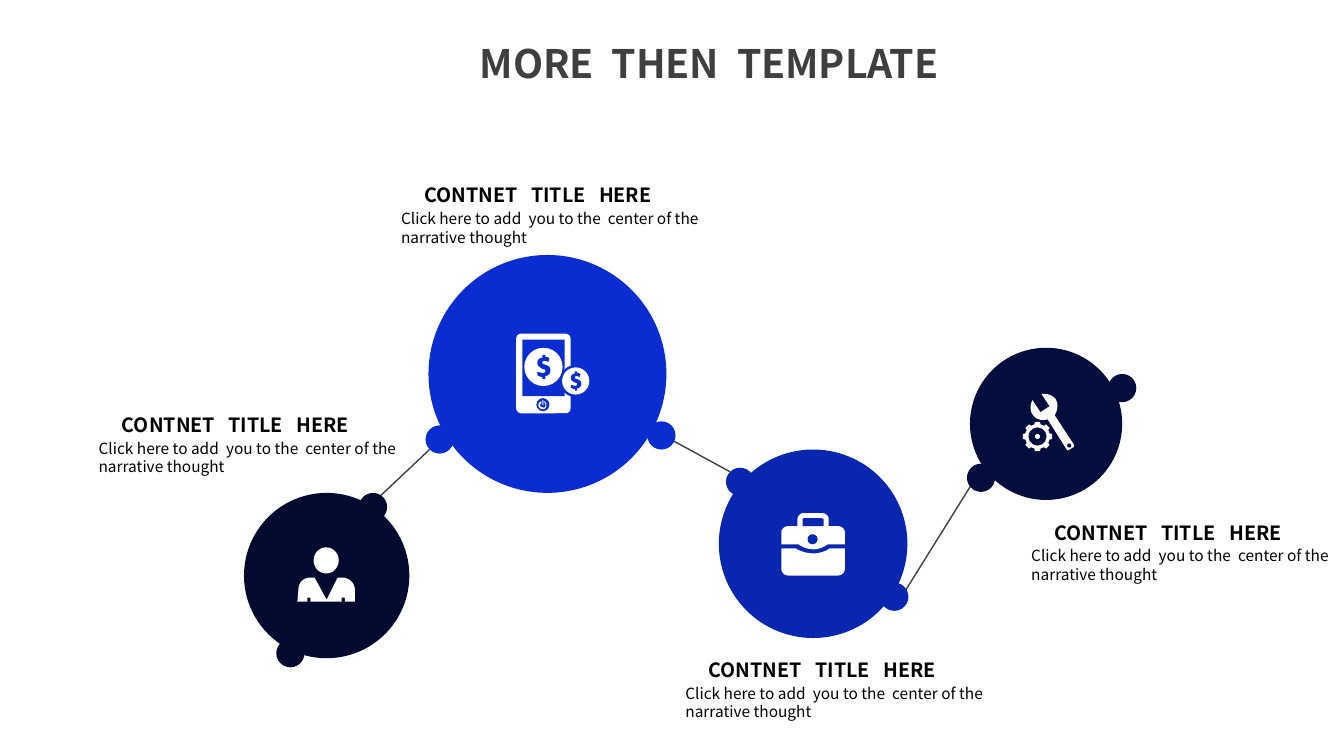
from math import cos, pi, sin

from lxml.etree import SubElement
from pptx import Presentation
from pptx.dml.color import RGBColor
from pptx.enum.shapes import MSO_CONNECTOR, MSO_SHAPE
from pptx.oxml.ns import qn
from pptx.util import Pt

PX = 9144  # 100 px to the inch
COLORS = {"white": "FFFFFF", "black": "000000", "gray": "3F3F3F",
          "night": "020A2F", "bright": "0A2DD2", "royal": "0926B1", "navy": "030D3E"}
FONT = "Noto Sans CJK SC"
# gap is the extra width of a space between phrases, in hundredths of a point
TITLE = {"font": {"name": FONT, "size": Pt(28), "bold": True},
         "color": "gray", "gap": 630, "indent": 20, "line": Pt(39)}
HEADING = {"font": {"name": FONT, "size": Pt(14), "bold": True},
           "color": "black", "gap": 640, "indent": 23, "line": Pt(26.5)}
BODY = {"font": {"name": FONT, "size": Pt(11), "bold": False},
        "color": "black", "gap": 250, "indent": 0, "line": Pt(15)}
BODY_END = BODY | {"line": Pt(13.5)}


def rgb(color):
    return RGBColor.from_string(COLORS[color])


def flatten(contour, steps=8):
    """Turn points and cubic curves (six numbers) into plain points."""
    points = []
    for part in contour:
        if len(part) == 2:
            points.append(part)
            continue
        xs, ys = (points[-1][0], *part[::2]), (points[-1][1], *part[1::2])
        for step in range(1, steps + 1):
            t = step / steps
            weights = ((1 - t) ** 3, 3 * t * (1 - t) ** 2, 3 * t * t * (1 - t), t ** 3)
            points.append(tuple(sum(w * v for w, v in zip(weights, axis)) for axis in (xs, ys)))
    return points


class Canvas:
    def __init__(self, slide):
        self.shapes = slide.shapes

    def paint(self, shape, color):
        shape.shadow.inherit = False
        shape.fill.solid()
        shape.fill.fore_color.rgb = rgb(color)
        shape.line.fill.background()
        return shape

    def preset(self, kind, box, color):
        return self.paint(self.shapes.add_shape(kind, *(v * PX for v in box)), color)

    def circle(self, x, y, radius, color):
        self.preset(MSO_SHAPE.OVAL, (x - radius, y - radius, 2 * radius, 2 * radius), color)

    def outline(self, contour, color):
        points = [(x * PX, y * PX) for x, y in flatten(contour)]
        builder = self.shapes.build_freeform(*points[0], scale=1)
        builder.add_line_segments(points[1:], close=True)
        self.paint(builder.convert_to_shape(), color)

    def link(self, *ends):
        line = self.shapes.add_connector(MSO_CONNECTOR.STRAIGHT, *(v * PX for v in ends))
        line.line.color.rgb = rgb("gray")
        line.line.width = Pt(1)
        SubElement(line._element.spPr, qn("a:effectLst"))

    def text(self, box, rows):
        frame = self.shapes.add_textbox(*(v * PX for v in box)).text_frame
        frame.word_wrap = True
        for index, (phrases, style) in enumerate(rows):
            paragraph = frame.add_paragraph() if index else frame.paragraphs[0]
            paragraph.line_spacing = style["line"]
            paragraph._p.get_or_add_pPr().set("marL", str(style["indent"] * PX))
            for place, phrase in enumerate(phrases):
                if place:
                    space = self.run(paragraph, " ", style)
                    space._r.get_or_add_rPr().set("spc", str(style["gap"]))
                self.run(paragraph, phrase, style)

    def run(self, paragraph, words, style):
        run = paragraph.add_run()
        run.text = words
        for key, value in style["font"].items():
            setattr(run.font, key, value)
        run.font.color.rgb = rgb(style["color"])
        return run


# Icons
def person(canvas, ground):
    canvas.preset(MSO_SHAPE.OVAL, (311, 543, 25, 26), "white")
    canvas.outline([(305, 597), (305, 593), (308, 593), (308, 597), (339, 597), (339, 593),
                    (342, 593), (342, 597), (352, 597), (352, 585),
                    (352, 578, 346, 573, 339, 573), (335, 573), (324, 595), (312, 573),
                    (308, 573), (301, 573, 296, 578, 296, 585), (295, 597)], "white")


DOLLAR = [(2, 9), (2, 12), (-1, 12), (-1, 10), (-3, 10, -5, 9, -6, 8), (-6, 5),
          (-4, 5, -3, 6, 0, 6), (1, 6, 2, 5, 2, 4), (2, 3, 1, 2, -1, 2),
          (-4, 0, -6, -1, -6, -4), (-6, -7, -4, -9, -1, -9), (-1, -12), (2, -12), (2, -10),
          (4, -10, 5, -9, 6, -9), (5, -5), (4, -5, 3, -6, 1, -6), (-1, -6, -1, -5, -1, -4),
          (-1, -3, 0, -3, 2, -2), (6, -1, 7, 1, 7, 4), (7, 6, 5, 9, 2, 9)]


def phone(canvas, ground):
    body = canvas.preset(MSO_SHAPE.ROUNDED_RECTANGLE, (512, 331, 54, 79), "white")
    body.adjustments[0] = 0.09
    canvas.preset(MSO_SHAPE.RECTANGLE, (518, 337, 42, 56), ground)
    canvas.circle(538.5, 401.5, 6.5, ground)
    canvas.outline([(540, 398), (540, 400), (541, 400, 541, 401, 541, 402),
                    (541, 404, 540, 405, 538, 404), (537, 404, 535, 403, 536, 401),
                    (536, 401, 536, 400, 537, 400), (537, 398), (535, 399, 534, 400, 534, 402),
                    (534, 404, 536, 406, 538, 406), (541, 406, 542, 404, 542, 402),
                    (542, 400, 541, 399, 540, 398)], "white")
    canvas.preset(MSO_SHAPE.RECTANGLE, (538, 397, 1, 5), "white")
    canvas.circle(571, 378, 16, ground)
    for x, y, radius, scale in ((539, 364, 19, 1), (571, 378, 13.5, 0.8)):
        canvas.circle(x, y, radius, "white")
        canvas.outline([tuple((x, y)[i % 2] + scale * v for i, v in enumerate(part))
                        for part in DOLLAR], ground)


def briefcase(canvas, ground):
    canvas.outline([(775, 544), (775, 564), (775, 568, 778, 571, 782, 571), (831, 571),
                    (835, 571, 838, 568, 838, 564), (838, 544), (823, 544),
                    (819, 547, 813, 549, 807, 549), (800, 549, 794, 547, 789, 544)], "white")
    canvas.outline([(831, 522), (822, 522), (822, 515), (822, 512, 819, 509, 815, 509),
                    (797, 509), (794, 509, 791, 512, 791, 515), (791, 522), (782, 522),
                    (778, 522, 775, 525, 775, 528), (775, 540), (792, 540),
                    (796, 543, 801, 545, 807, 545), (812, 545, 817, 543, 821, 540),
                    (838, 540), (838, 528), (838, 525, 835, 522, 831, 522)], "white")
    canvas.outline([(796, 522), (796, 515), (797, 514), (815, 514), (817, 515), (817, 522)],
                   ground)
    canvas.circle(806, 535, 5, ground)


def tools(canvas, ground):
    canvas.outline([(1065, 441), (1046, 412), (1049, 407, 1050, 401, 1047, 396),
                    (1044, 392, 1038, 390, 1033, 391), (1041, 403), (1032, 409), (1024, 397),
                    (1022, 401, 1021, 407, 1024, 411), (1027, 416, 1033, 418, 1039, 416),
                    (1058, 446), (1058, 447, 1060, 447, 1061, 446), (1064, 444),
                    (1065, 444, 1066, 442, 1065, 441)], "white")
    canvas.circle(1060.5, 442, 2, ground)
    x, y = 1029, 433
    turns = [tooth * pi / 4 for tooth in range(8)]
    canvas.outline([(x + r * cos(a) - w * sin(a), y + r * sin(a) + w * cos(a))
                    for a in turns for r, w in ((12, -3), (14.5, -2.5), (14.5, 2.5), (12, 3))],
                   "white")
    canvas.circle(x, y, 9, ground)
    canvas.circle(x, y, 2.5, "white")


# Each step: colour, disc (left, top, size), its two knobs, caption corner, icon
STEPS = [
    ("night", (242, 489, 164), ((356, 489), (274, 634)), (88, 391), person),
    ("bright", (425, 253, 236), ((422, 422), (642, 418)), (388, 163), phone),
    ("royal", (713, 446, 187), ((720, 464), (873, 578)), (670, 634), briefcase),
    ("navy", (962, 345, 151), ((959, 460), (1099, 371)), (1013, 498), tools),
]
LINKS = [(426, 446, 372, 497), (658, 432, 724, 468), (888, 602, 964, 480)]
CAPTION = [(("CONTNET", "TITLE", "HERE"), HEADING),
           (("Click here to add", "you to the", "center of the"), BODY),
           (("narrative thought",), BODY_END)]


def main():
    deck = Presentation()
    deck.slide_width, deck.slide_height = 1333 * PX, 750 * PX
    canvas = Canvas(deck.slides.add_slide(deck.slide_layouts[6]))

    # Title and links
    canvas.text((446, 27, 538, 64), [(("MORE", "THEN", "TEMPLATE"), TITLE)])
    for ends in LINKS:
        canvas.link(*ends)

    # Steps
    for color, (left, top, size), knobs, corner, icon in STEPS:
        for knob in knobs:
            canvas.preset(MSO_SHAPE.OVAL, (*knob, 28, 28), color)
        canvas.preset(MSO_SHAPE.OVAL, (left, top, size, size), color)
        icon(canvas, color)
        canvas.text((*corner, 344, 88), CAPTION)

    deck.save("out.pptx")


if __name__ == "__main__":
    main()
